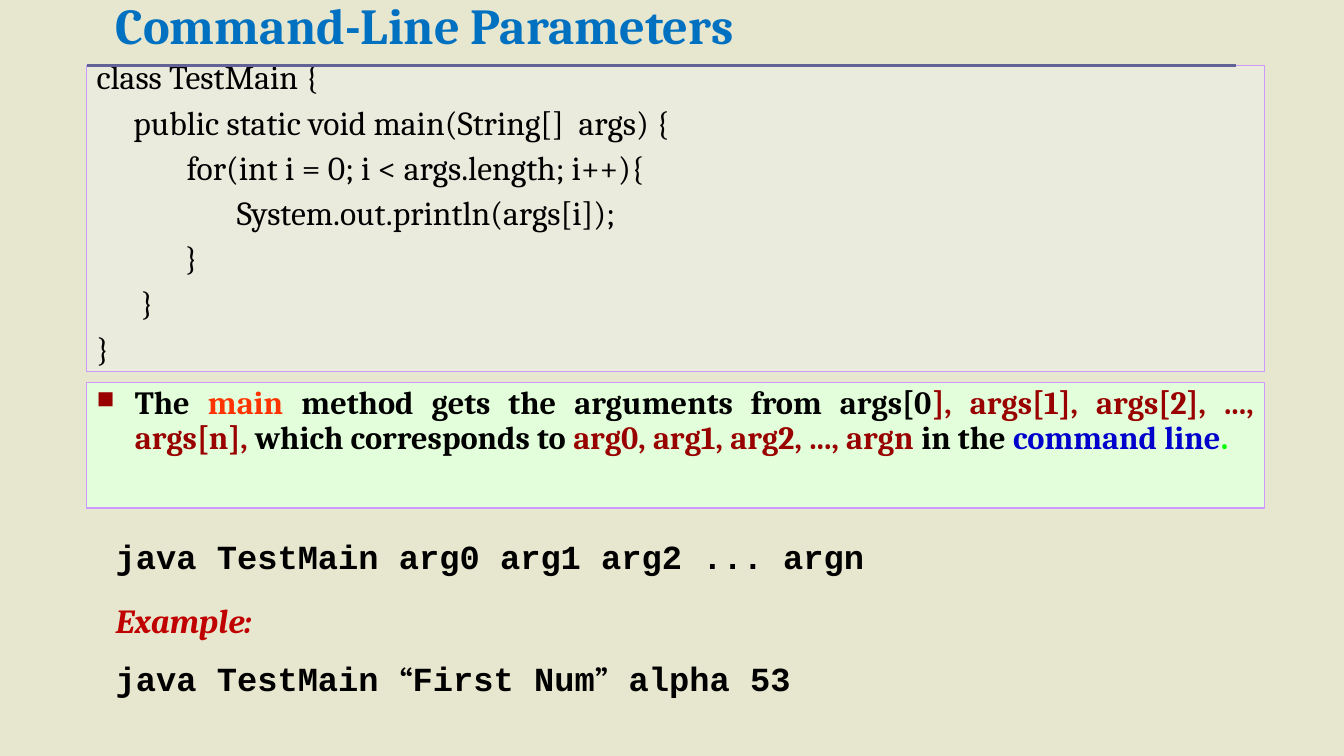
from lxml.etree import SubElement
from pptx import Presentation
from pptx.dml.color import RGBColor
from pptx.enum.shapes import MSO_CONNECTOR, MSO_SHAPE
from pptx.enum.text import MSO_ANCHOR, PP_ALIGN
from pptx.oxml.ns import qn
from pptx.util import Inches, Pt

BACKGROUND = RGBColor(0xE7, 0xE7, 0xCF)
TITLE_BLUE = RGBColor(0x00, 0x70, 0xC0)
RULE = RGBColor(0x62, 0x62, 0x97)
BORDER = RGBColor(0xCC, 0x99, 0xFF)
CODE_FILL = RGBColor(0xF2, 0xF2, 0xF2)
NOTE_FILL = RGBColor(0xE2, 0xFE, 0xDA)
BLACK = RGBColor(0x00, 0x00, 0x00)
ORANGE = RGBColor(0xFF, 0x33, 0x00)
MAROON = RGBColor(0x99, 0x00, 0x00)
RED = RGBColor(0xC0, 0x00, 0x00)
BLUE = RGBColor(0x00, 0x00, 0xCC)
GREEN = RGBColor(0x00, 0xFF, 0x00)

SERIF = "Cambria"
MONO = "Courier New"
LEFT, WIDTH = 0.86, 11.69
TEXT_LEFT = 1.05

CODE = [
    "class TestMain {",
    "     public static void main(String[]  args) {",
    "\t       for(int i = 0; i < args.length; i++){",
    "  \t\t       System.out.println(args[i]);",
    "        \t}",
    "      }",
    "}",
]
NOTE = [
    ("The ", BLACK),
    ("main ", ORANGE),
    ("method gets the arguments from args[0", BLACK),
    ("], args[1], args[2], ..., args[n], ", MAROON),
    ("which corresponds to ", BLACK),
    ("arg0, arg1, arg2, ..., argn ", MAROON),
    ("in the ", BLACK),
    ("command line", BLUE),
    (".", GREEN),
]
COMMAND = [("java TestMain arg0 arg1 arg2 ... argn", MONO)]
EXAMPLE = [
    ("java TestMain ", MONO),
    ("“", SERIF),
    ("First Num", MONO),
    ("”", SERIF),
    (" alpha 53", MONO),
]


def add_span(para, text, size, color, font=SERIF, bold=True, italic=False):
    span = para.add_run()
    span.text = text
    span.font.name = font
    span.font.size = Pt(size)
    span.font.bold = bold
    span.font.italic = italic
    span.font.color.rgb = color


def set_hanging_indent(para):
    properties = para._p.get_or_add_pPr()
    properties.set("marL", str(Inches(0.38)))
    properties.set("indent", str(-Inches(0.38)))
    return properties


def add_tab_stops(properties):
    """Put a left tab at every inch."""
    stops = SubElement(properties, qn("a:tabLst"))
    for inch in range(8):
        SubElement(stops, qn("a:tab"), pos=str(Inches(inch)), algn="l")


def add_square_bullet(properties):
    color = SubElement(properties, qn("a:buClr"))
    SubElement(color, qn("a:srgbClr"), val=str(MAROON))
    SubElement(properties, qn("a:buSzPct"), val="75000")
    SubElement(properties, qn("a:buChar"), char="■")


def add_paragraph(frame, index):
    return frame.add_paragraph() if index else frame.paragraphs[0]


def add_panel(page, top, height, color):
    panel = page.shapes.add_shape(
        MSO_SHAPE.RECTANGLE, Inches(LEFT), Inches(top), Inches(WIDTH), Inches(height))
    panel.shadow.inherit = False
    panel.fill.solid()
    panel.fill.fore_color.rgb = color
    panel.line.color.rgb = BORDER
    panel.line.width = Pt(0.75)
    panel.text_frame.word_wrap = True
    panel.text_frame.vertical_anchor = MSO_ANCHOR.TOP
    return panel


def add_title(page):
    title = page.shapes.title
    title.left, title.top = Inches(TEXT_LEFT), Inches(-0.08)
    title.width, title.height = Inches(9.23), Inches(0.76)
    title.text_frame.vertical_anchor = MSO_ANCHOR.MIDDLE
    para = title.text_frame.paragraphs[0]
    para.alignment = PP_ALIGN.LEFT
    para.line_spacing = 0.8
    add_span(para, "Command-Line Parameters", 36, TITLE_BLUE)


def add_commands(page):
    box = page.shapes.add_textbox(
        Inches(TEXT_LEFT), Inches(5.31), Inches(11.51), Inches(1.77))
    frame = box.text_frame
    frame.word_wrap = True
    lines = [
        (COMMAND, BLACK, False, 0.9),
        ([("Example:", SERIF)], RED, True, 1.0),
        (EXAMPLE, BLACK, False, 0.9),
    ]
    for index, (spans, color, italic, spacing) in enumerate(lines):
        para = add_paragraph(frame, index)
        set_hanging_indent(para)
        para.line_spacing = spacing
        if index:
            para.space_before = Pt(16.2)
        for text, font in spans:
            add_span(para, text, 24.1, color, font, italic=italic)


def add_code(page):
    panel = add_panel(page, 0.65, 3.04, CODE_FILL)
    fill_color = panel._element.spPr.find(qn("a:solidFill"))[0]
    SubElement(fill_color, qn("a:alpha"), val="42000")
    for index, line in enumerate(CODE):
        para = add_paragraph(panel.text_frame, index)
        add_tab_stops(set_hanging_indent(para))
        para.alignment = PP_ALIGN.LEFT
        para.line_spacing = 0.6
        if index:
            para.space_before = Pt(15)
        add_span(para, line, 24, BLACK, bold=False)


def add_note(page):
    panel = add_panel(page, 3.79, 1.25, NOTE_FILL)
    para = panel.text_frame.paragraphs[0]
    add_square_bullet(set_hanging_indent(para))
    para.alignment = PP_ALIGN.JUSTIFY
    para.line_spacing = 0.9
    for text, color in NOTE:
        add_span(para, text, 23.1, color)


def add_rule(page):
    rule = page.shapes.add_connector(
        MSO_CONNECTOR.STRAIGHT, Inches(LEFT), Inches(0.65), Inches(12.27), Inches(0.65))
    rule.line.color.rgb = RULE
    rule.line.width = Pt(2.5)
    SubElement(rule._element.spPr, qn("a:effectLst"))


def main():
    deck = Presentation()
    deck.slide_width, deck.slide_height = Inches(13.34), Inches(7.5)
    page = deck.slides.add_slide(deck.slide_layouts[5])
    page.background.fill.solid()
    page.background.fill.fore_color.rgb = BACKGROUND
    add_title(page)
    add_commands(page)
    add_code(page)
    add_note(page)
    add_rule(page)
    deck.save("out.pptx")


if __name__ == "__main__":
    main()
